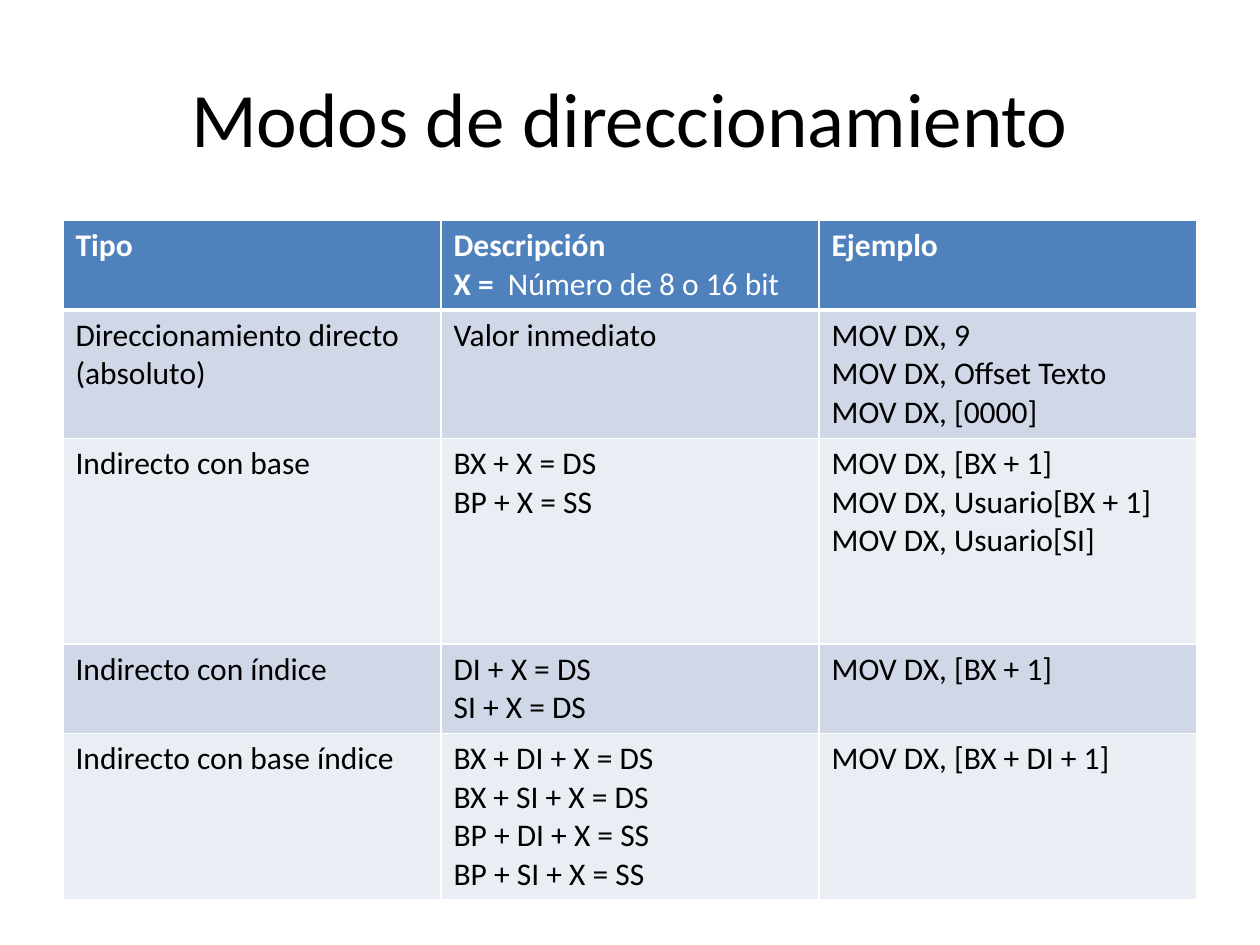
from pptx import Presentation
from pptx.dml.color import RGBColor
from pptx.enum.text import MSO_ANCHOR, PP_ALIGN
from pptx.util import Inches, Pt
from lxml.etree import SubElement
from pptx.oxml.ns import qn

COLORS = {"ink": "000000", "white": "FFFFFF", "head": "4F81BD",
          "odd": "D0D8E8", "even": "E9EDF4"}
TITLE = {"name": "Calibri", "size": Pt(44), "bold": False}
HEAD = {"name": "Calibri", "size": Pt(18), "bold": True}
BODY = {**HEAD, "bold": False}
HEIGHTS = [0.71, 1.02, 1.63, 0.71, 1.32]
ROWS = [
    [["Tipo"], ["Descripción", ("X = ", "\u00a0Número de 8 o 16 bit")], ["Ejemplo"]],
    [["Direccionamiento directo (absoluto)"], ["Valor inmediato"],
     ["MOV DX, 9", "MOV DX, Offset Texto", "MOV DX, [0000]"]],
    [["Indirecto con base"], ["BX + X = DS", "BP + X = SS"],
     ["MOV DX, [BX + 1]", "MOV DX, Usuario[BX + 1]", "MOV DX, Usuario[SI]"]],
    [["Indirecto con índice"], ["DI + X = DS", "SI + X = DS"], ["MOV DX, [BX + 1]"]],
    [["Indirecto con base índice"],
     ["BX + DI + X = DS", "BX + SI + X = DS", "BP + DI + X = SS", "BP + SI + X = SS"],
     ["MOV DX, [BX + DI + 1]"]],
]


def add_run(para, text, style, color):
    run = para.add_run()
    run.text = text
    for key, value in style.items():
        setattr(run.font, key, value)
    run.font.color.rgb = RGBColor.from_string(COLORS[color])


def add_title(slide, text, left, top, width, height):
    title = slide.shapes.title
    title.left, title.top = Inches(left), Inches(top)
    title.width, title.height = Inches(width), Inches(height)
    title.text_frame.vertical_anchor = MSO_ANCHOR.MIDDLE
    para = title.text_frame.paragraphs[0]
    para.alignment = PP_ALIGN.CENTER
    add_run(para, text, TITLE, "ink")


def add_edges(cell, row):
    props = cell._tc.get_or_add_tcPr()
    widths = {"L": 1, "R": 1, "T": 3 if row == 1 else 1, "B": 3 if row == 0 else 1}
    for side, width in widths.items():
        line = SubElement(props, qn(f"a:ln{side}"), w=str(Pt(width)))
        fill = SubElement(line, qn("a:solidFill"))
        SubElement(fill, qn("a:srgbClr"), val=COLORS["white"])


def fill_cell(cell, lines, row):
    add_edges(cell, row)
    shade = "head" if row == 0 else "odd" if row % 2 else "even"
    cell.fill.solid()
    cell.fill.fore_color.rgb = RGBColor.from_string(COLORS[shade])
    frame = cell.text_frame
    for index, line in enumerate(lines):
        para = frame.add_paragraph() if index else frame.paragraphs[0]
        parts = line if isinstance(line, tuple) else (line,)
        for part, text in enumerate(parts):
            style = HEAD if row == 0 and part == 0 else BODY
            add_run(para, text, style, "ink" if row else "white")


def add_modes(slide, left, top, width):
    count = len(ROWS[0])
    frame = slide.shapes.add_table(len(ROWS), count, Inches(left), Inches(top),
                                   Inches(width), Inches(sum(HEIGHTS)))
    table = frame.table
    for col in table.columns:
        col.width = Inches(width / count)
    for row, (height, cells) in enumerate(zip(HEIGHTS, ROWS)):
        table.rows[row].height = Inches(height)
        for col, lines in enumerate(cells):
            fill_cell(table.cell(row, col), lines, row)


deck = Presentation()
deck.slide_width, deck.slide_height = Inches(10), Inches(7.5)
slide = deck.slides.add_slide(deck.slide_layouts[5])
add_title(slide, "Modos de direccionamiento", 0.5, 0.3, 9, 1.25)
add_modes(slide, 0.5, 1.75, 9)
deck.save("out.pptx")
